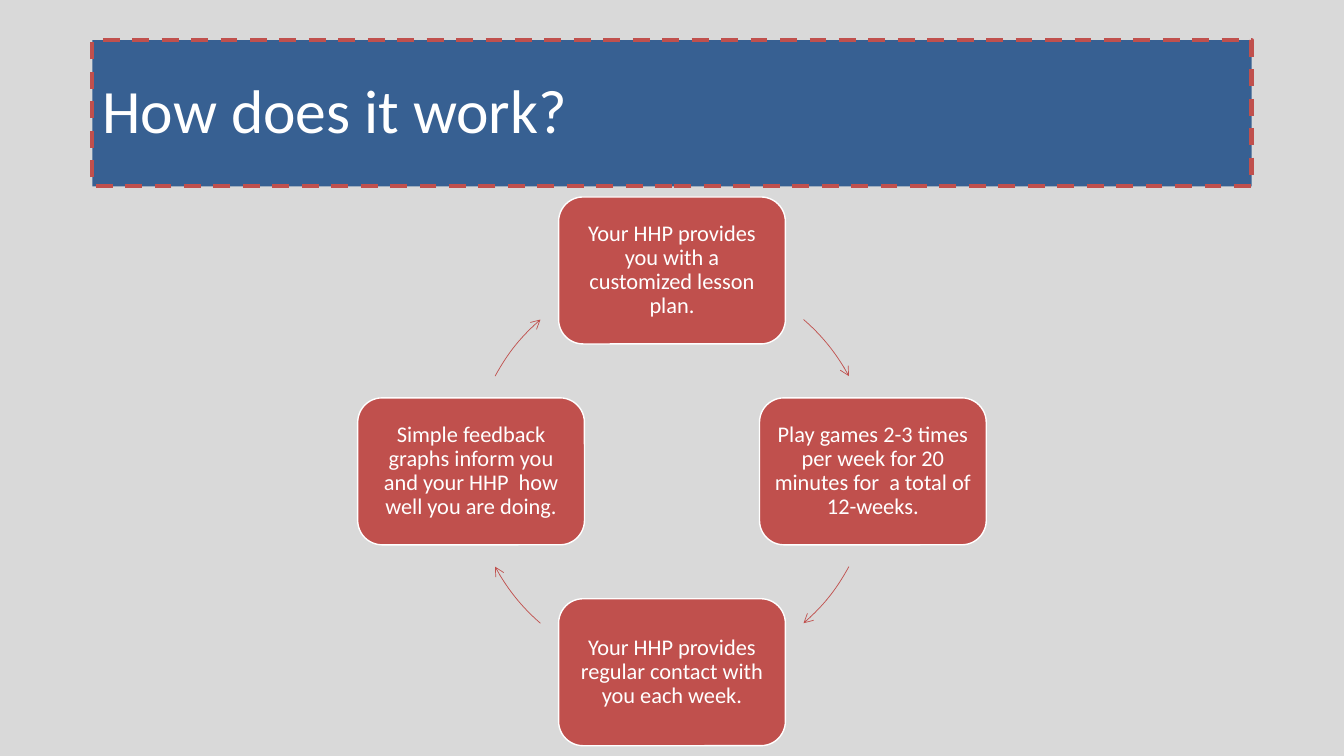
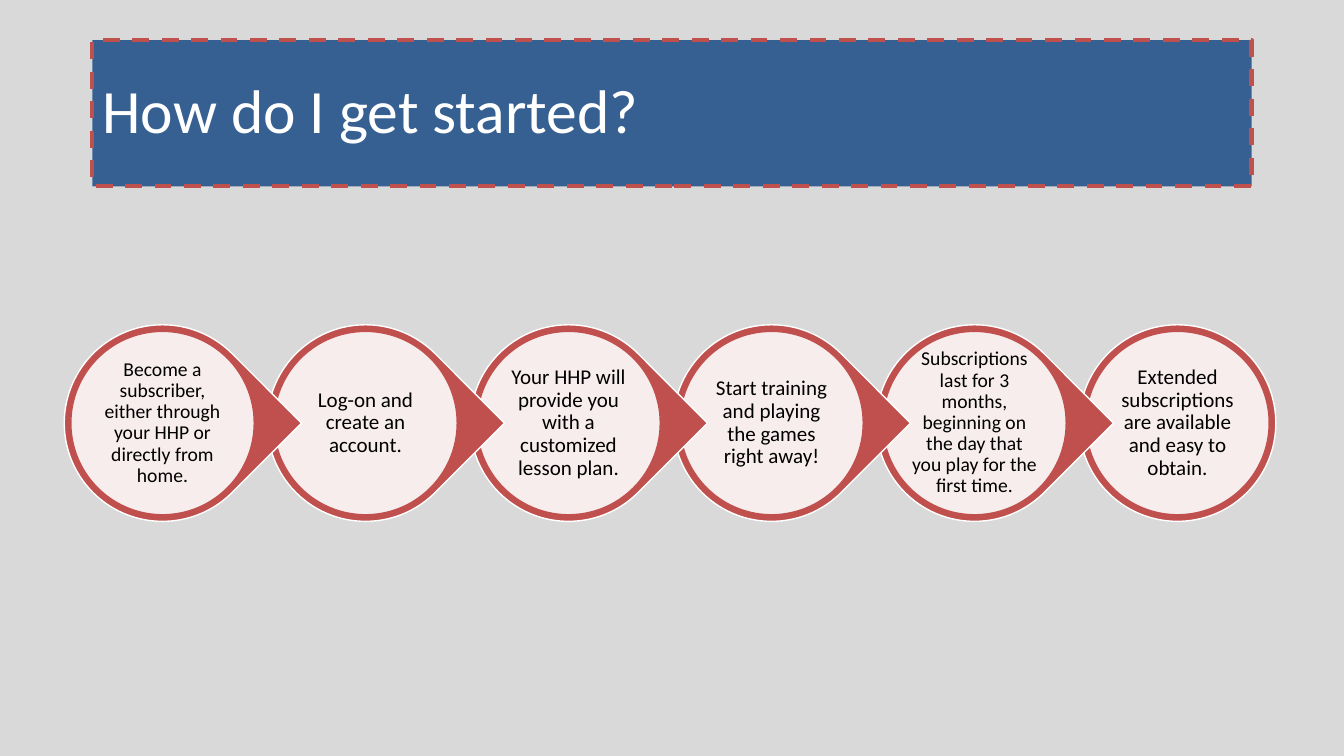
from dataclasses import dataclass

from lxml.etree import SubElement
from pptx import Presentation
from pptx.dml.color import RGBColor
from pptx.enum.dml import MSO_LINE
from pptx.enum.shapes import MSO_SHAPE
from pptx.enum.text import MSO_ANCHOR, MSO_AUTO_SIZE, PP_ALIGN
from pptx.oxml.ns import qn
from pptx.shapes.autoshape import Shape
from pptx.slide import Slide
from pptx.util import Pt

FONT = "Calibri"
GRAY = RGBColor(0xD9, 0xD9, 0xD9)
BLUE = RGBColor(0x37, 0x60, 0x92)
RED = RGBColor(0xC0, 0x50, 0x4D)
WHITE = RGBColor(0xFF, 0xFF, 0xFF)
BLACK = RGBColor(0x00, 0x00, 0x00)

TITLE_ONLY = 5
LINE_SPACING = 0.9

# Cycle
CYCLE_X, CYCLE_Y, CYCLE_RADIUS = 480, 336.7, 143.5
NODE_W, NODE_H = 162, 105
ARC_HALF_SWEEP = 10.4

# Process
STEP_X, STEP_Y, STEP_PITCH = 116.1, 302.2, 145
DROP_SIZE, DISC_SIZE = 140.4, 131


@dataclass(frozen=True)
class Node:
    """Cycle box: direction from the centre and angle of the arrow that follows."""
    text: str
    dx: int
    dy: int
    arrow_angle: float


@dataclass(frozen=True)
class Step:
    text: str
    size: int = 15


NODES = [
    Node("Your HHP provides you with a customized lesson plan.", 0, -1, 321.3),
    Node("Play games 2-3 times per week for 20 minutes for  a total of 12-weeks.", 1, 0, 38.7),
    Node("Your HHP provides regular contact with you each week.", 0, 1, 141.3),
    Node("Simple feedback graphs inform you and your HHP  how well you are doing.", -1, 0, 218.7),
]

STEPS = [
    Step("Become a subscriber, either through your HHP or directly from home.", 14),
    Step("Log-on and create an account."),
    Step("Your HHP will provide you with a customized lesson plan."),
    Step("Start training and playing the games right away!"),
    Step("Subscriptions last for 3 months, beginning on the day that you play for the first time.", 14),
    Step("Extended subscriptions are available and easy to obtain."),
]


def write(sp: Shape, text: str, size: float, color: RGBColor, align: PP_ALIGN) -> None:
    tf = sp.text_frame
    tf.text = text
    tf.word_wrap = True
    tf.auto_size = MSO_AUTO_SIZE.NONE
    tf.vertical_anchor = MSO_ANCHOR.MIDDLE
    p = tf.paragraphs[0]
    p.alignment = align
    p.line_spacing = LINE_SPACING
    font = p.runs[0].font
    font.name, font.size = FONT, Pt(size)
    font.color.rgb = color


def set_insets(sp: Shape, inset: float) -> None:
    tf = sp.text_frame
    tf.margin_left = tf.margin_right = tf.margin_top = tf.margin_bottom = Pt(inset)


def paint(sp: Shape, fill: RGBColor, line: RGBColor, width: float = 1) -> None:
    sp.fill.solid()
    sp.fill.fore_color.rgb = fill
    sp.line.color.rgb = line
    sp.line.width = Pt(width)


def add_centered(s: Slide, kind: MSO_SHAPE, x: float, y: float, w: float, h: float) -> Shape:
    """Add a preset shape around the centre point (x, y)."""
    sp = s.shapes.add_shape(kind, Pt(x - w / 2), Pt(y - h / 2), Pt(w), Pt(h))
    sp.shadow.inherit = False
    return sp


def add_titled_slide(prs: Presentation, title: str) -> Slide:
    s = prs.slides.add_slide(prs.slide_layouts[TITLE_ONLY])
    sp = s.shapes.title
    sp.left, sp.top, sp.width, sp.height = Pt(66), Pt(28.75), Pt(828), Pt(104.4)
    paint(sp, BLUE, RED, 3)
    sp.line.dash_style = MSO_LINE.DASH
    write(sp, title, 44, WHITE, PP_ALIGN.LEFT)
    return s


def add_arc_arrow(s: Slide, angle: float) -> None:
    """Add a clockwise arrow on the cycle's circle, centred on an angle in degrees."""
    sp = add_centered(s, MSO_SHAPE.ARC, CYCLE_X, CYCLE_Y, 2 * CYCLE_RADIUS, 2 * CYCLE_RADIUS)
    # Angles are stored in 1/60000 degree, adjustments in 1/100000.
    sp.adjustments[0] = (angle - ARC_HALF_SWEEP) * 0.6
    sp.adjustments[1] = (angle + ARC_HALF_SWEEP) * 0.6
    sp.fill.background()
    sp.line.color.rgb = RED
    sp.line.width = Pt(0.5)
    SubElement(sp.line._get_or_add_ln(), qn("a:tailEnd"), type="arrow")


def add_node(s: Slide, node: Node) -> None:
    x = CYCLE_X + node.dx * CYCLE_RADIUS
    y = CYCLE_Y + node.dy * CYCLE_RADIUS
    sp = add_centered(s, MSO_SHAPE.ROUNDED_RECTANGLE, x, y, NODE_W, NODE_H)
    paint(sp, RED, WHITE)
    set_insets(sp, 5)
    write(sp, node.text, 16, WHITE, PP_ALIGN.CENTER)
    add_arc_arrow(s, node.arrow_angle)


def add_step(s: Slide, step: Step, x: float, is_last: bool) -> None:
    kind = MSO_SHAPE.OVAL if is_last else MSO_SHAPE.TEAR
    drop = add_centered(s, kind, x, STEP_Y, DROP_SIZE, DROP_SIZE)
    drop.rotation = 0 if is_last else 45
    paint(drop, RED, WHITE)

    disc = add_centered(s, MSO_SHAPE.OVAL, x, STEP_Y, DISC_SIZE, DISC_SIZE)
    paint(disc, WHITE, RED)
    color = disc.fill._xPr.find(qn("a:solidFill"))[0]
    SubElement(color, qn("a:alpha"), val="90000")
    set_insets(disc, 0.7)
    write(disc, step.text, step.size, BLACK, PP_ALIGN.CENTER)


def main() -> None:
    prs = Presentation()
    prs.slide_width, prs.slide_height = Pt(960), Pt(540)
    background = prs.slide_master.background.fill
    background.solid()
    background.fore_color.rgb = GRAY

    s = add_titled_slide(prs, "How does it work?")
    for node in NODES:
        add_node(s, node)

    s = add_titled_slide(prs, "How do I get started?")
    last = len(STEPS) - 1
    # Right to left, so that each point overlaps the next step.
    for i in range(last, -1, -1):
        add_step(s, STEPS[i], STEP_X + i * STEP_PITCH, i == last)

    prs.save("out.pptx")


if __name__ == "__main__":
    main()
